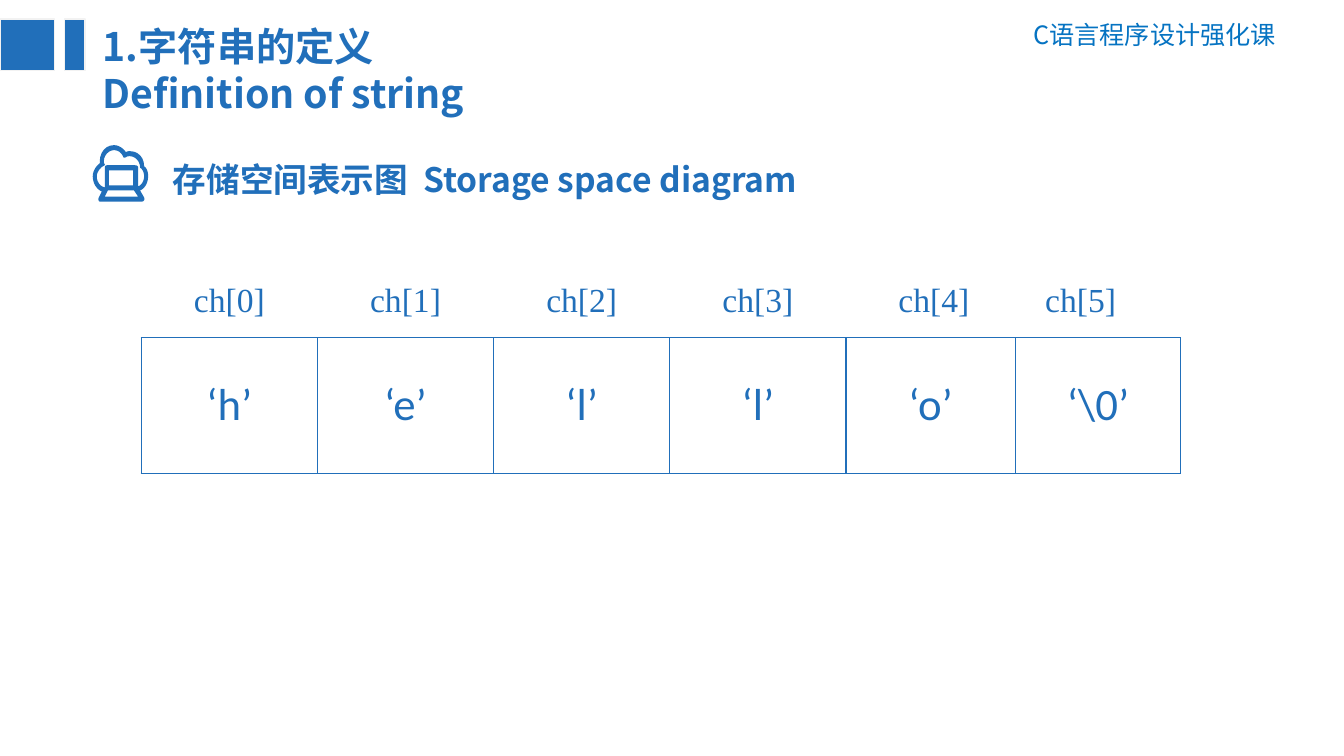
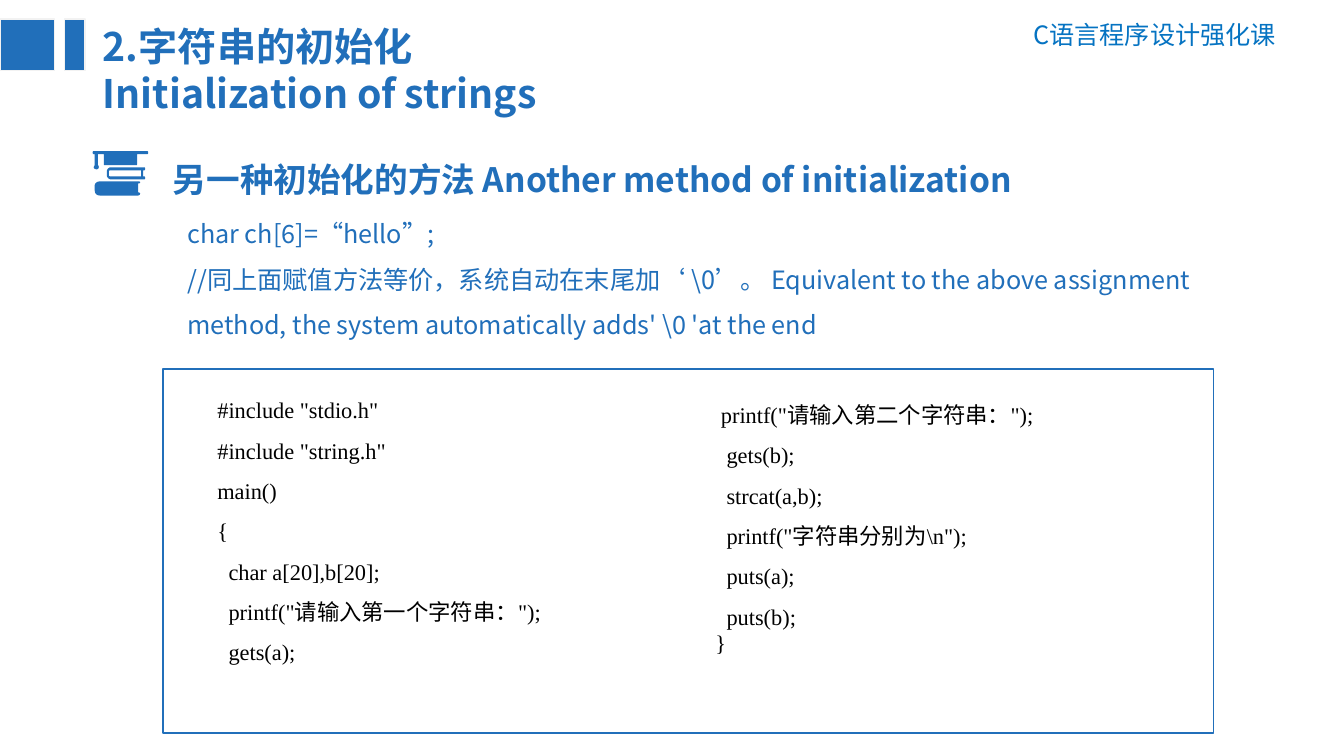
from lxml.etree import SubElement
from pptx import Presentation
from pptx.dml.color import RGBColor
from pptx.enum.shapes import MSO_SHAPE
from pptx.enum.text import MSO_ANCHOR, MSO_AUTO_SIZE, PP_ALIGN
from pptx.oxml.ns import qn
from pptx.util import Cm, Pt

BLUE, COURSE_BLUE, PALE, BLACK = "216FBA", "0573C2", "F2F2F2", "000000"
SANS, SERIF, CELL_FONT = "Noto Sans CJK SC", "Times New Roman", "Calibri"
COURSE = "C语言程序设计强化课"
ACCENT_BARS = [(0, 1.37), (1.63, 0.51)]

DEFINITION = dict(
    title=["1.字符串的定义", "Definition of string"],
    heading="存储空间表示图  Storage space diagram",
    icon=[
        "104,195 107,189 133,189 137,195",
        "96,175 96,171,99,167,102,165 103,165,104,164,104,163 "
        "103,162,103,161,103,160 103,154,108,149,113,149 117,149,120,151,122,155 "
        "122,156,123,157,125,156 126,155,128,155,129,155 134,155,139,160,139,166 "
        "139,166,139,167,140,167 142,169,143,172,143,175 143,180,140,184,137,185 "
        "137,166 137,165,136,164,134,164 106,164 105,164,104,165,104,166 "
        "104,186 99,185,96,180,96,175",
        "132,184 108,184 108,169 132,169",
        "139,189 144,187,147,181,147,175 147,171,146,167,143,165 "
        "143,156,137,150,129,150 128,150,126,150,125,151 122,147,118,144,113,144 "
        "105,144,99,151,99,160 99,160,99,161,99,162 95,165,92,170,92,175 "
        "92,182,96,188,101,190 98,196 97,198,98,200,99,200 141,200 "
        "143,200,144,197,143,196",
    ],
)
INDEXES = ["ch[0]", "ch[1]", "ch[2]", "ch[3]", "ch[4]\tch[5]"]
LETTERS = ["‘h’", "‘e’", "‘l’", "‘l’", "‘o’", "‘\\0’"]
COLUMN_WIDTHS = [4.44, 4.44, 4.44, 4.44, 4.27, 4.17]
ROW_HEIGHTS = [1.83, 3.43]

INITIALIZATION = dict(
    title=["2.字符串的初始化", "Initialization of strings"],
    heading="另一种初始化的方法 Another method of initialization",
    icon=[
        "139,192 139,193,138,194,137,194 99,194 96,194,94,192,94,189 94,184 "
        "94,182,96,180,99,180 137,180 138,180,139,180,139,181 "
        "139,182,138,182,137,182 137,191 138,191,139,191,139,192",
        "144,177 144,177,144,178,143,178 110,178 108,178,106,176,106,174 106,170 "
        "106,168,108,166,110,166 143,166 144,166,144,167,144,167 "
        "144,168,144,169,143,169 142,169 142,175 143,175 144,175,144,176,144,177",
        "110,175 140,175 140,169 110,169 109,169,108,169,108,170 108,174 "
        "108,175,109,175,110,175",
        "146,150 93,150 92,150,92,151,92,151 92,152,92,153,93,153 94,153 94,164 "
        "94,164,93,165,93,166 93,167,94,168,96,168 97,168,98,167,98,166 "
        "98,165,98,164,97,164 97,153 103,153 103,163 103,164,104,164,105,164 "
        "135,164 135,164,136,164,136,163 136,153 146,153 147,153,147,152,147,151 "
        "147,151,147,150,146,150",
    ],
)
EXPLANATION = [
    "char ch[6]=“hello”;",
    "//同上面赋值方法等价，系统自动在末尾加‘ \\0’。 Equivalent to the above "
    "assignment method, the system automatically adds' \\0 'at the end",
]
CODE_START = [
    ('#include "stdio.h"', 0), ('#include "string.h"', 0), ("main()", 0), ("{", 0),
    ("char a[20],b[20];", 2), ('printf("请输入第一个字符串：");', 2), ("gets(a);", 2),
]
CODE_REST = [
    ('printf("请输入第二个字符串：");', 1), ("gets(b);", 2), ("strcat(a,b);", 2),
    ('printf("字符串分别为\\n");', 2), ("puts(a);", 2), ("puts(b);", 2),
]
INDENT_STEP = Cm(0.14)


def color(value):
    return RGBColor.from_string(value)


def write(frame, lines, size=18, font=SANS, fill=BLUE, bold=False, align=PP_ALIGN.LEFT,
          spacing=None, before=None):
    for number, line in enumerate(lines):
        words, indent = line if isinstance(line, tuple) else (line, 0)
        paragraph = frame.add_paragraph() if number else frame.paragraphs[0]
        paragraph.alignment = align
        paragraph.line_spacing = spacing
        paragraph.space_before = before
        if indent:
            properties = paragraph._p.get_or_add_pPr()
            properties.set("marL", str(indent * INDENT_STEP))
            properties.set("indent", "0")
        run = paragraph.add_run()
        run.text = words
        run.font.size, run.font.name, run.font.bold = Pt(size), font, bold
        run.font.color.rgb = color(fill)
        east_asian = SubElement(run._r.get_or_add_rPr(), qn("a:ea"))
        east_asian.set("typeface", SANS)


def place(shape, left, top, width, height):
    shape.left, shape.top, shape.width, shape.height = map(Cm, (left, top, width, height))


def add_text(slide, box, lines, **style):
    text = slide.shapes.add_textbox(*map(Cm, box))
    text.text_frame.word_wrap = True
    write(text.text_frame, lines, **style)
    return text


def add_rectangle(slide, box, fill, line):
    rectangle = slide.shapes.add_shape(MSO_SHAPE.RECTANGLE, *map(Cm, box))
    rectangle.shadow.inherit = False
    if fill:
        rectangle.fill.solid()
        rectangle.fill.fore_color.rgb = color(fill)
    else:
        rectangle.fill.background()
    rectangle.line.color.rgb = color(line)
    rectangle.line.width = Pt(1)


def trace(contour, steps=6):
    points = []
    for token in contour.split():
        values = [int(v) * Cm(0.0254) for v in token.split(",")]
        ends = list(zip(values[::2], values[1::2]))
        if len(ends) == 1:
            points += ends
            continue
        curve = [points[-1], *ends]
        for step in range(1, steps + 1):
            t = step / steps
            weights = ((1 - t) ** 3, 3 * t * (1 - t) ** 2, 3 * t * t * (1 - t), t ** 3)
            points.append(tuple(round(sum(w * p[axis] for w, p in zip(weights, curve)))
                                for axis in (0, 1)))
    return points


def add_icon(slide, contours):
    outlines = [trace(contour) for contour in contours]
    builder = slide.shapes.build_freeform(*outlines[0][0], scale=1.0)
    for number, outline in enumerate(outlines):
        if number:
            builder.move_to(*outline[0])
        builder.add_line_segments(outline[1:], close=True)
    icon = builder.convert_to_shape()
    icon.shadow.inherit = False
    icon.fill.solid()
    icon.fill.fore_color.rgb = color(BLUE)
    icon.line.fill.background()


def start_slide(deck, layout, topic):
    slide = deck.slides.add_slide(layout)
    title = slide.shapes.title
    place(title, 2.34, 0.43, 14.15, 3.84)
    title.text_frame.auto_size = MSO_AUTO_SIZE.NONE
    title.text_frame.vertical_anchor = MSO_ANCHOR.TOP
    write(title.text_frame, topic["title"], size=28, bold=True)
    for left, width in ACCENT_BARS:
        add_rectangle(slide, (left, 0.48, width, 1.3), BLUE, PALE)
    add_text(slide, (4.11, 3.68, 27.84, 1.37), [topic["heading"]],
             size=24, bold=True, spacing=1.2)
    add_icon(slide, topic["icon"])
    return slide


def set_borders(cell, visible):
    properties = cell._tc.get_or_add_tcPr()
    for position, side in enumerate("LRTB"):
        border = properties.makeelement(qn(f"a:ln{side}"), {"w": str(Pt(1))})
        properties.insert(position, border)
        if side in visible:
            SubElement(SubElement(border, qn("a:solidFill")), qn("a:srgbClr")).set("val", BLUE)
        else:
            SubElement(border, qn("a:noFill"))


def add_storage_table(slide):
    frame = slide.shapes.add_table(2, len(LETTERS), Cm(3.56), Cm(6.68),
                                   Cm(sum(COLUMN_WIDTHS)), Cm(sum(ROW_HEIGHTS)))
    table = frame.table
    table.first_row = table.horz_banding = False
    for column, width in zip(table.columns, COLUMN_WIDTHS):
        column.width = Cm(width)
    for row, height in zip(table.rows, ROW_HEIGHTS):
        row.height = Cm(height)
    for row, borders in enumerate(("B", "LRTB")):
        for column in range(len(LETTERS)):
            cell = table.cell(row, column)
            cell.fill.background()
            cell.vertical_anchor = MSO_ANCHOR.MIDDLE
            set_borders(cell, borders)
    for column, index in enumerate(INDEXES):
        write(table.cell(0, column).text_frame, [index], size=24, font=SERIF,
              align=PP_ALIGN.LEFT if "\t" in index else PP_ALIGN.CENTER)
    for column, letter in enumerate(LETTERS):
        write(table.cell(1, column).text_frame, [letter], size=32, font=CELL_FONT,
              align=PP_ALIGN.CENTER, spacing=0.9, before=Pt(10))
    last_pair = table.cell(0, 4)
    last_pair.merge(table.cell(0, 5))
    last_pair.margin_left = Cm(1.32)
    properties = last_pair.text_frame.paragraphs[0]._p.get_or_add_pPr()
    stop = SubElement(SubElement(properties, qn("a:tabLst")), qn("a:tab"))
    stop.set("pos", str(Cm(3.7)))
    stop.set("algn", "l")


def main():
    deck = Presentation()
    deck.slide_width, deck.slide_height = Cm(33.87), Cm(19.05)
    layout = deck.slide_layouts[5]

    definition = start_slide(deck, layout, DEFINITION)
    course = add_text(definition, (24.79, 0.36, 7.62, 1.02), [COURSE],
                      fill=COURSE_BLUE, align=PP_ALIGN.RIGHT)
    layout.shapes.element.append(course.element)
    add_storage_table(definition)

    initialization = start_slide(deck, layout, INITIALIZATION)
    add_text(initialization, (4.47, 5, 27.1, 3.58), EXPLANATION, spacing=1.5)
    add_rectangle(initialization, (4.11, 9.3, 26.47, 9.17), None, BLUE)
    code = dict(size=16, font=SERIF, fill=BLACK)
    add_text(initialization, (5.23, 9.53, 12.55, 7.32), CODE_START, spacing=1.5, **code)
    rest = add_text(initialization, (17.78, 9.65, 12.8, 7.19), CODE_REST, spacing=1.5, **code)
    closing = rest.text_frame.add_paragraph()
    closing_run = closing.add_run()
    closing_run.text = "}"
    closing_run.font.size, closing_run.font.name = Pt(16), SERIF
    closing_run.font.color.rgb = color(BLACK)

    deck.save("out.pptx")


if __name__ == "__main__":
    main()
